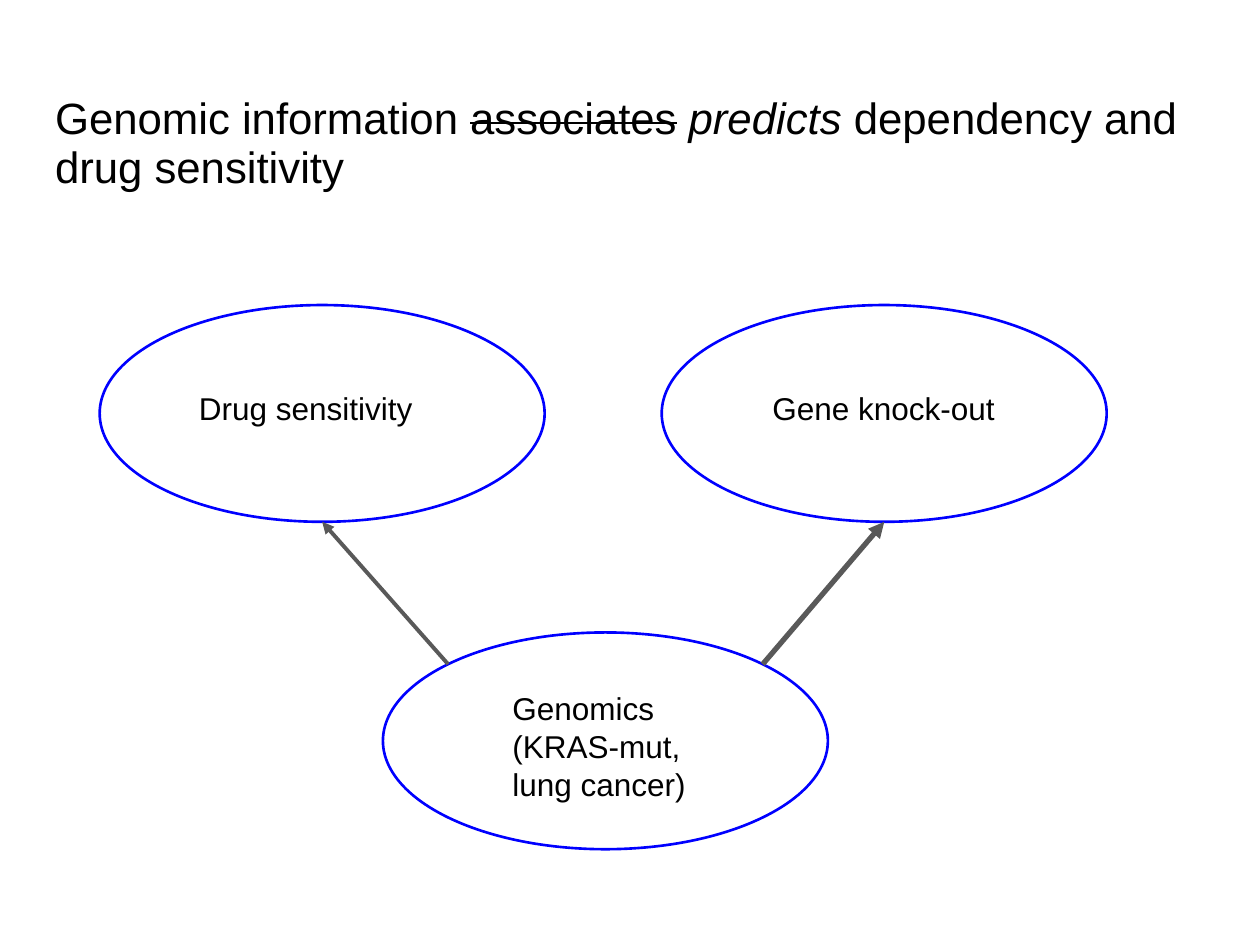
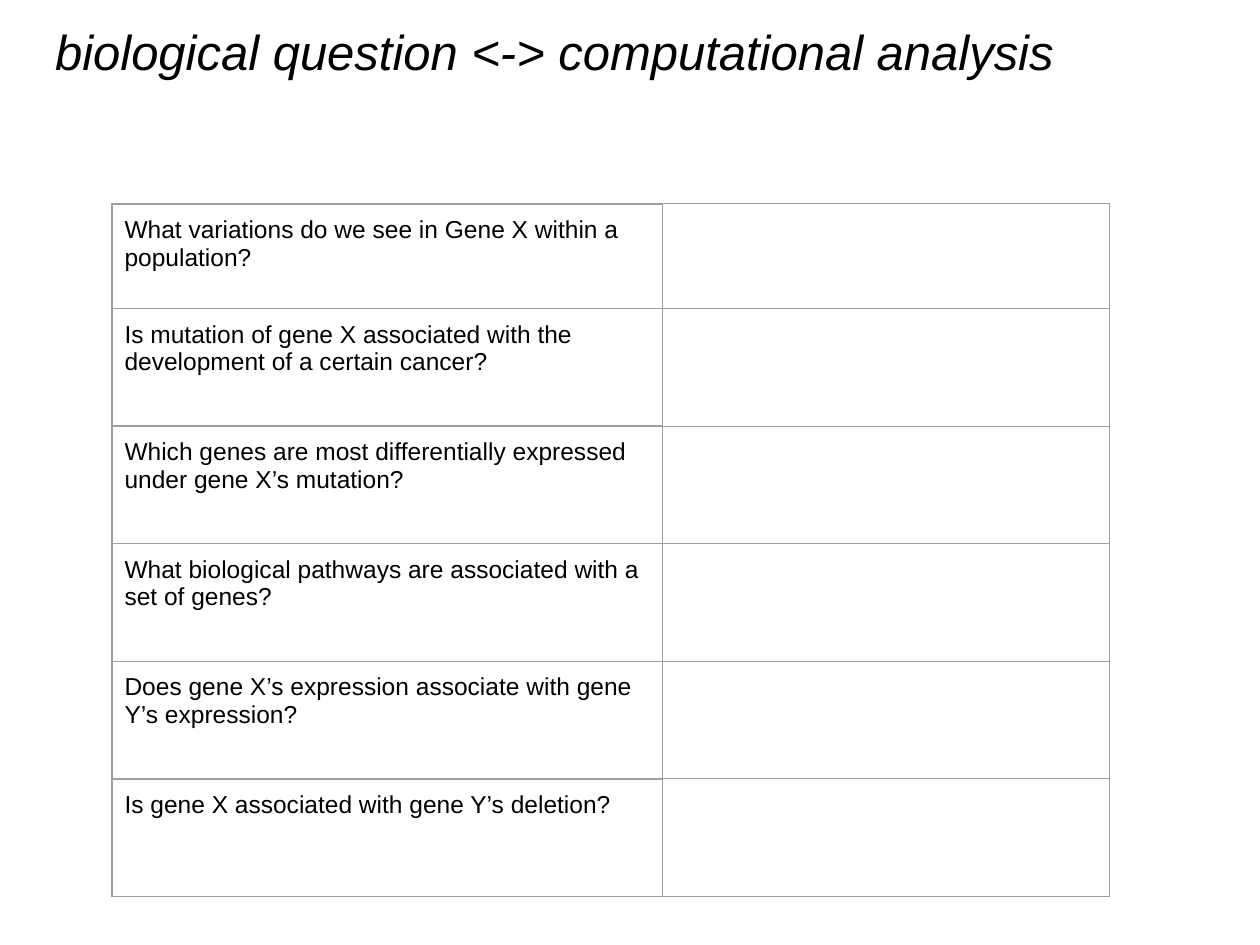
from math import sqrt

from lxml import etree
from pptx import Presentation
from pptx.dml.color import RGBColor
from pptx.enum import shapes, text
from pptx.oxml import ns, parse_xml
from pptx.util import Cm, Pt

BLACK, WHITE, BLUE, GREY, EDGE = "000000", "FFFFFF", "0000FF", "595959", "9E9E9E"
PAD = {f"margin_{side}": Cm(0.25) for side in ("left", "top", "right", "bottom")}


def ink(hue):
    """Turn a hex string into a colour."""
    return RGBColor.from_string(hue)


def write(frame, box, lines, size):
    """Fill frame with lines, each a list of (words, mark); box takes the margins."""
    for key, value in PAD.items():
        setattr(box, key, value)
    frame.word_wrap = True
    for n, line in enumerate(lines):
        par = frame.add_paragraph() if n else frame.paragraphs[0]
        par.alignment = text.PP_ALIGN.LEFT
        for words, mark in line:
            run = par.add_run()
            run.text = words
            form = {"name": "Arial", "size": Pt(size), "italic": mark == "italic"}
            for key, value in form.items():
                setattr(run.font, key, value)
            run.font.color.rgb = ink(BLACK)
            if mark == "strike":
                run._r.get_or_add_rPr().set("strike", "sngStrike")


deck = Presentation()
deck.slide_width, deck.slide_height = Cm(25.4), Cm(19.05)

# Titles: top, size, line spacing, runs
titles = [
    (1.65, 25, 0.95, [("Genomic information ", ""), ("associates", "strike"), (" ", ""),
                      ("predicts", "italic"), (" dependency and drug sensitivity", "")]),
    (0.18, 28, 1.0, [("biological question <-> computational analysis", "italic")]),
]
pages = []
for top, size, gap, runs in titles:
    page = deck.slides.add_slide(deck.slide_layouts[5])
    page.background.fill.solid()
    page.background.fill.fore_color.rgb = ink(WHITE)
    title = page.shapes.title
    title.left, title.top, title.width, title.height = Cm(0.86), Cm(top), Cm(23.67), Cm(2.11)
    frame = title.text_frame
    frame.auto_size = text.MSO_AUTO_SIZE.NONE
    frame.vertical_anchor = text.MSO_ANCHOR.TOP
    write(frame, frame, [runs], size)
    frame.paragraphs[0].line_spacing = gap
    pages.append(page)
graph, quiz = pages

# Slide 1: ellipses with labels, joined by arrows
wide, high = 8.97, 4.37
nodes = [  # ellipse left, top; label left, top, width, height; lines
    (2.01, 6.15, (3.76, 7.59, 5.05, 1.27), ["Drug sensitivity"]),
    (13.34, 6.15, (15.32, 7.59, 5.21, 1.27), ["Gene knock-out"]),
    (7.72, 12.75, (10.08, 13.64, 4.5, 2.82), ["Genomics", "(KRAS-mut, lung cancer)"]),
]
for left, top, spot, lines in nodes:
    oval = graph.shapes.add_shape(shapes.MSO_SHAPE.OVAL, Cm(left), Cm(top), Cm(wide), Cm(high))
    oval.shadow.inherit = False
    oval.fill.background()
    oval.line.color.rgb = ink(BLUE)
    oval.line.width = Pt(1.5)
    label = graph.shapes.add_textbox(*map(Cm, spot)).text_frame
    write(label, label, [[(line, "")] for line in lines], 18)

# Arrows leave the source ellipse at 45 degrees and end at a target's bottom centre
drug, gene, source = nodes
for target, side, weight in ((drug, -1, 2.25), (gene, 1, 3)):
    start = (source[0] + wide / 2 * (1 + side / sqrt(2)), source[1] + high / 2 * (1 - 1 / sqrt(2)))
    end = (target[0] + wide / 2, target[1] + high)
    arrow = graph.shapes.add_connector(shapes.MSO_CONNECTOR.STRAIGHT, *map(Cm, start + end))
    arrow.line.color.rgb = ink(GREY)
    arrow.line.width = Pt(weight)
    etree.SubElement(arrow.line._get_or_add_ln(), ns.qn("a:tailEnd"), type="triangle")
    etree.SubElement(arrow._element.spPr, ns.qn("a:effectLst"))

# Slide 2: questions, with room for answers
asks = [
    "What variations do we see in Gene X within a population?",
    "Is mutation of gene X associated with the development of a certain cancer?",
    "Which genes are most differentially expressed under gene X’s mutation?",
    "What biological pathways are associated with a set of genes?",
    "Does gene X’s expression associate with gene Y’s expression?",
    "Is gene X associated with gene Y’s deletion?",
]
cols = (11.1, 9.0)
rows = [2.11] + [2.37] * (len(asks) - 1)
grid = quiz.shapes.add_table(len(rows), len(cols), Cm(2.26), Cm(4.11),
                             Cm(sum(cols)), Cm(sum(rows))).table
grid.first_row = grid.horz_banding = False
for col, width in zip(grid.columns, cols):
    col.width = Cm(width)
for row, height, ask in zip(grid.rows, rows, asks):
    row.height = Cm(height)
    write(row.cells[0].text_frame, row.cells[0], [[(ask, "")]], 14)
    for n, cell in enumerate(row.cells):
        cell.fill.background()
        for at, side in enumerate("LRTB"):
            weight = 0.75 if n and side != "L" else 1
            cell._tc.get_or_add_tcPr().insert(at, parse_xml(
                f'<a:ln{side} {ns.nsdecls("a")} w="{Pt(weight)}"><a:solidFill>'
                f'<a:srgbClr val="{EDGE}"/></a:solidFill></a:ln{side}>'))

deck.save("out.pptx")
